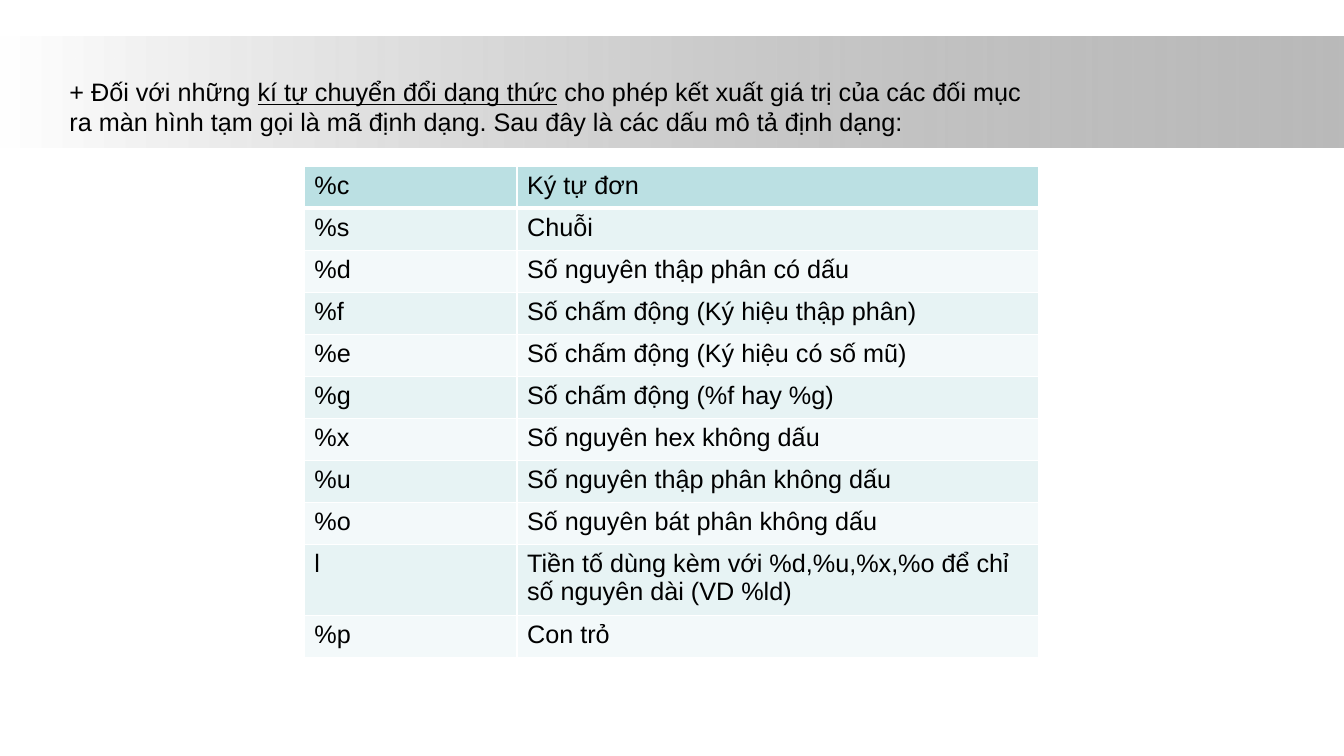
"""Build a slide listing format specifiers in a two-column table."""
import lxml.etree
import pptx
import pptx.dml.color
import pptx.enum.shapes
import pptx.oxml
import pptx.oxml.ns
import pptx.util

Cm = pptx.util.Cm
Pt = pptx.util.Pt
qn = pptx.oxml.ns.qn

COLORS = {
    "white": "FFFFFF",
    "gray": "808080",
    "text": "000000",
    "header": "BBE0E3",
    "odd": "E7F3F4",
    "even": "F3F9FA",
}
INTRO = [
    [
        ("+ Đối với những ", False),
        ("kí tự chuyển đổi dạng thức", True),
        (" cho phép kết xuất giá trị của các đối mục", False),
    ],
    [("ra màn hình tạm gọi là mã định dạng. Sau đây là các dấu mô tả định dạng:", False)],
]
SPECIFIERS = [
    ("%c", "Ký tự đơn"),
    ("%s", "Chuỗi"),
    ("%d", "Số nguyên thập phân có dấu"),
    ("%f", "Số chấm động (Ký hiệu thập phân)"),
    ("%e", "Số chấm động (Ký hiệu có số mũ)"),
    ("%g", "Số chấm động (%f hay %g)"),
    ("%x", "Số nguyên hex không dấu"),
    ("%u", "Số nguyên thập phân không dấu"),
    ("%o", "Số nguyên bát phân không dấu"),
    ("l", "Tiền tố dùng kèm với %d,%u,%x,%o để chỉ số nguyên dài (VD %ld)"),
    ("%p", "Con trỏ"),
]


def rgb(name):
    return pptx.dml.color.RGBColor.from_string(COLORS[name])


def style_font(para):
    para.font.name = "Arial"
    para.font.size = Pt(18)
    para.font.bold = False
    para.font.color.rgb = rgb("text")


deck = pptx.Presentation()
deck.slide_width = Cm(33.87)
deck.slide_height = Cm(19.05)
page = deck.slides.add_slide(deck.slide_layouts[6])

band = page.shapes.add_shape(
    pptx.enum.shapes.MSO_SHAPE.RECTANGLE, 0, Cm(0.91), deck.slide_width, Cm(2.8)
)
band.shadow.inherit = False
band.line.fill.background()
band.fill.gradient()
band.fill.gradient_angle = 0
for stop, name in zip(band.fill.gradient_stops, ["white", "gray"]):
    stop.color.rgb = rgb(name)
gray_stop = list(band._element.spPr.iter(qn("a:srgbClr")))[-1]
lxml.etree.SubElement(gray_stop, qn("a:alpha"), val="54000")

intro_box = page.shapes.add_textbox(Cm(1.5), Cm(1.8), Cm(29.54), Cm(1.8))
intro_box.text_frame.word_wrap = True
for index, pieces in enumerate(INTRO):
    frame = intro_box.text_frame
    para = frame.add_paragraph() if index else frame.paragraphs[0]
    style_font(para)
    for text, underlined in pieces:
        span = para.add_run()
        span.text = text
        span.font.underline = underlined

column_widths = [Cm(5.36), Cm(13.15)]
row_height = Cm(1.06)
table = page.shapes.add_table(
    len(SPECIFIERS), 2, Cm(7.67), Cm(4.19), sum(column_widths), row_height * len(SPECIFIERS)
).table
for column, width in zip(table.columns, column_widths):
    column.width = width

for row_index, texts in enumerate(SPECIFIERS):
    table.rows[row_index].height = row_height
    fill_name = "header" if row_index == 0 else "odd" if row_index % 2 else "even"
    widths = {
        "lnL": 1,
        "lnR": 1,
        "lnT": 3 if row_index == 1 else 1,
        "lnB": 3 if row_index == 0 else 1,
    }
    for column_index, text in enumerate(texts):
        cell = table.cell(row_index, column_index)
        cell.text = text
        style_font(cell.text_frame.paragraphs[0])
        properties = cell._tc.get_or_add_tcPr()
        for side, width in widths.items():
            border = lxml.etree.SubElement(properties, qn("a:" + side), w=str(Pt(width)))
            solid = lxml.etree.SubElement(border, qn("a:solidFill"))
            lxml.etree.SubElement(solid, qn("a:srgbClr"), val=COLORS["white"])
        cell.fill.solid()
        cell.fill.fore_color.rgb = rgb(fill_name)

deck.save("out.pptx")
